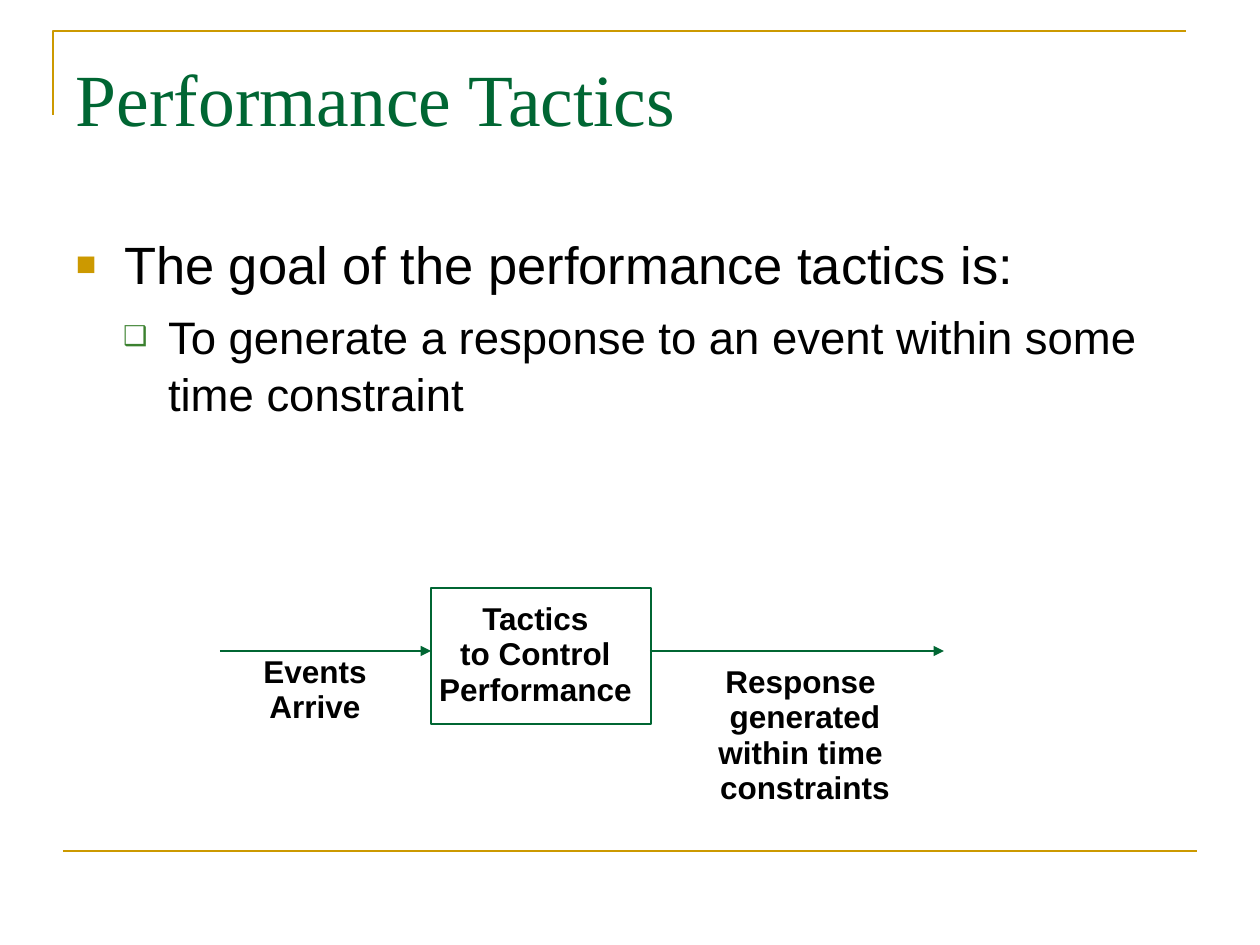
from lxml.etree import SubElement
from pptx import Presentation
from pptx.dml.color import RGBColor
from pptx.enum.shapes import MSO_CONNECTOR, MSO_SHAPE
from pptx.enum.text import MSO_ANCHOR, MSO_AUTO_SIZE, PP_ALIGN
from pptx.oxml.ns import qn
from pptx.util import Emu, Pt

PX = 914400 // 126
GREEN, GOLD, BLACK = "006633", "CC9900", "000000"

TITLE = {"name": "Times New Roman", "size": Pt(42), "color": GREEN}
LABEL = {"name": "Arial", "size": Pt(18), "bold": True, "color": BLACK}
LEVELS = [
    {"indent": (48, -48), "bullet": ("■", GOLD, 65), "before": 0,
     "font": {"name": "Arial", "size": Pt(30), "color": BLACK}},
    {"indent": (92, -45), "bullet": ("❑", "3B812F", 60), "before": 6.5,
     "font": {"name": "Arial", "size": Pt(26), "color": BLACK}},
]
GOALS = [
    (0, "The goal of the performance tactics is:"),
    (1, "To generate a response to an event within some time constraint"),
]
LABELS = [
    ((433, 596, 205, 115), ["Tactics", "to Control", "Performance"]),
    ((257, 649, 116, 81), ["Events", "Arrive"]),
    ((712, 659, 186, 149),
     ["Response ", "generated", "within time ", "constraints"]),
]
ARROWS = [(220, 431), (650, 944)]
ARROW_Y = 651


def px(*lengths):
    return [Emu(length * PX) for length in lengths]


def color(hex_value):
    return RGBColor.from_string(hex_value)


def format_font(font, values):
    for name, value in values.items():
        if name == "color":
            font.color.rgb = color(value)
        else:
            setattr(font, name, value)


def format_line(shape, hex_value):
    shape.line.color.rgb = color(hex_value)
    shape.line.width = Pt(1.5)


def place(box, area):
    for name, value in zip(("left", "top", "width", "height"), px(*area)):
        setattr(box, name, value)


def set_frame(frame, wrap, auto_size, margins):
    frame.word_wrap = wrap
    frame.auto_size = auto_size
    frame.vertical_anchor = MSO_ANCHOR.TOP
    sides = ("margin_left", "margin_top", "margin_right", "margin_bottom")
    for side, value in zip(sides, px(*margins)):
        setattr(frame, side, value)


def add_bullet(para, indent, bullet):
    character, hex_value, percent = bullet
    properties = para._p.get_or_add_pPr()
    for name, value in zip(("marL", "indent"), px(*indent)):
        properties.set(name, str(value))
    bullet_color = SubElement(properties, qn("a:buClr"))
    SubElement(bullet_color, qn("a:srgbClr"), val=hex_value)
    SubElement(properties, qn("a:buSzPct"), val=str(percent * 1000))
    SubElement(properties, qn("a:buFont"), typeface="Arial")
    SubElement(properties, qn("a:buChar"), char=character)


def fill_title(title):
    place(title, (63, 38, 1134, 157))
    set_frame(title.text_frame, True, MSO_AUTO_SIZE.NONE, (13, 15, 13, 6))
    para = title.text_frame.paragraphs[0]
    para.text = "Performance Tactics"
    para.alignment = PP_ALIGN.LEFT
    format_font(para.font, TITLE)


def fill_body(body):
    place(body, (63, 220, 1134, 362))
    frame = body.text_frame
    set_frame(frame, True, MSO_AUTO_SIZE.NONE, (13, 9, 13, 6))
    for index, (level, text) in enumerate(GOALS):
        para = frame.add_paragraph() if index else frame.paragraphs[0]
        style = LEVELS[level]
        para.text = text
        para.level = level
        add_bullet(para, style["indent"], style["bullet"])
        para.space_before = Pt(style["before"])
        para.line_spacing = 1.05
        format_font(para.font, style["font"])


def add_line(slide, start, end, hex_value, arrow=False):
    line = slide.shapes.add_connector(
        MSO_CONNECTOR.STRAIGHT, *px(*start, *end))
    format_line(line, hex_value)
    if arrow:
        SubElement(line.line._get_or_add_ln(), qn("a:tailEnd"),
                   type="triangle")
    SubElement(line._element.spPr, qn("a:effectLst"))


def add_corner(slide):
    builder = slide.shapes.build_freeform(53, 115, scale=PX)
    builder.add_line_segments([(53, 31), (1186, 31)], close=False)
    corner = builder.convert_to_shape()
    corner.shadow.inherit = False
    corner.fill.background()
    format_line(corner, GOLD)


def add_tactics_box(slide):
    box = slide.shapes.add_shape(
        MSO_SHAPE.RECTANGLE, *px(431, 588, 220, 136))
    box.shadow.inherit = False
    box.fill.background()
    format_line(box, GREEN)


def add_label(slide, area, lines):
    box = slide.shapes.add_textbox(*px(*area))
    frame = box.text_frame
    set_frame(frame, False, MSO_AUTO_SIZE.SHAPE_TO_FIT_TEXT, (6, 6, 6, 6))
    for index, text in enumerate(lines):
        para = frame.add_paragraph() if index else frame.paragraphs[0]
        para.text = text
        para.alignment = PP_ALIGN.CENTER
        para.line_spacing = 0.94
        format_font(para.font, LABEL)


def main():
    deck = Presentation()
    deck.slide_width, deck.slide_height = px(1260, 945)
    slide = deck.slides.add_slide(deck.slide_layouts[1])

    # Frame lines
    add_corner(slide)
    add_line(slide, (63, 851), (1197, 851), GOLD)

    # Title and goals
    fill_title(slide.shapes.title)
    fill_body(slide.placeholders[1])

    # Event flow diagram
    add_tactics_box(slide)
    for left, right in ARROWS:
        add_line(slide, (left, ARROW_Y), (right, ARROW_Y), GREEN, arrow=True)
    for area, lines in LABELS:
        add_label(slide, area, lines)

    deck.save("out.pptx")


if __name__ == "__main__":
    main()
